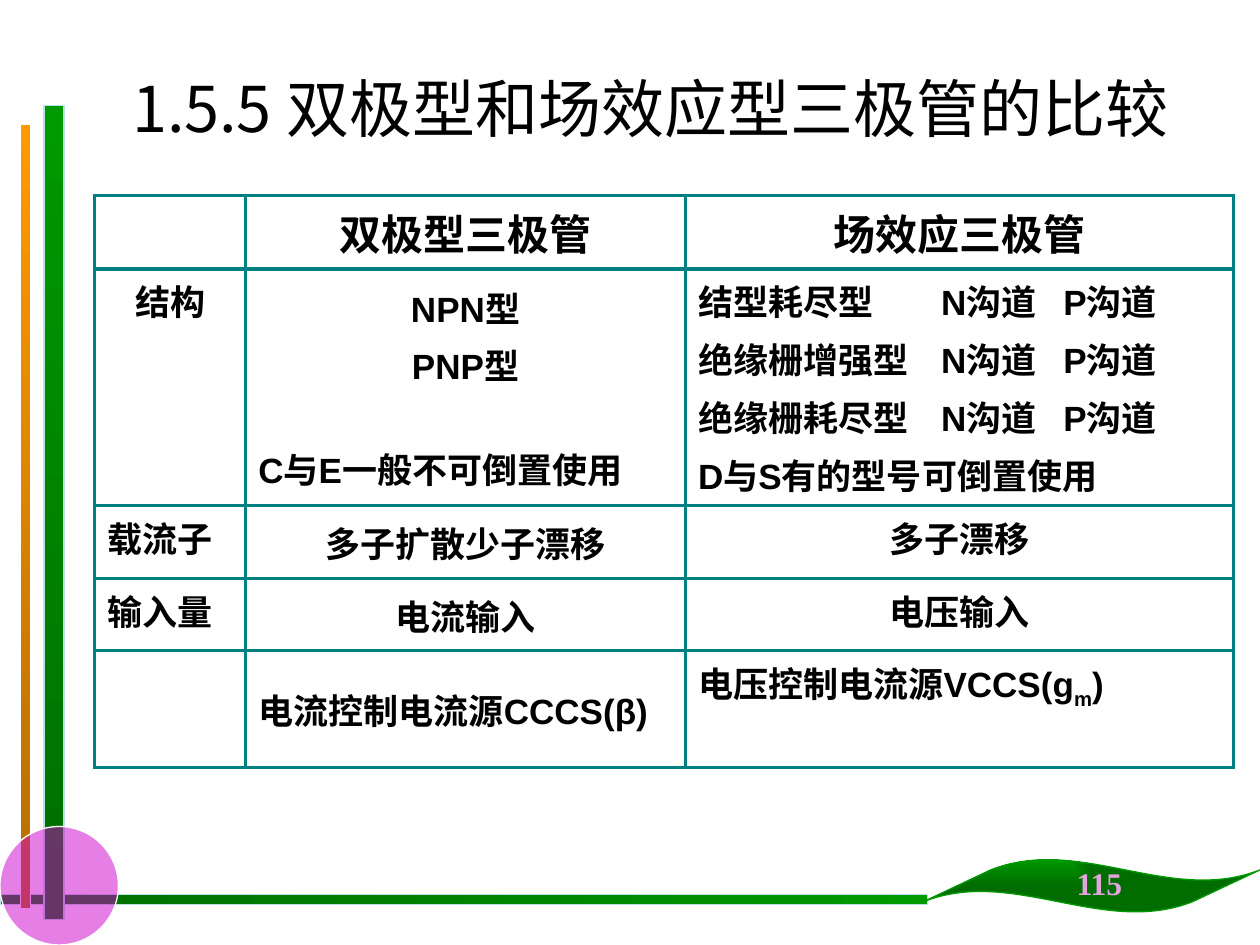
from lxml import etree
from pptx import Presentation, util as u
from pptx.dml.color import RGBColor
from pptx.enum import shapes as sh, text as tx
from pptx.oxml.ns import qn

W, H = 10, 7.5
MID, LEFT = tx.PP_ALIGN.CENTER, tx.PP_ALIGN.LEFT
CJK = "Noto Sans CJK SC"
BARS = [
    ((0, 7.1, 7.36, 0.08), ("006D00", "009900"), 0, "BBE0E3", 0.75),
    ((0.35, 0.84, 0.16, 6.46), ("009900", "006D00"), 270, "BBE0E3", 0.75),
    ((0.16, 0.99, 0.08, 6.22), ("FF9900", "B66D00"), 270, "FFFFFF", 0.5),
]
COLS = [1.2, 3.49, 4.35]
ROWS = [0.55, 1.87, 0.58, 0.57, 0.93]
CELLS = [
    [[], [("双极型三极管", MID)], [("场效应三极管", MID)]],
    [[("结构", MID)],
     [("NPN型", MID), ("PNP型", MID), ("C与E一般不可倒置使用", LEFT, 30)],
     [("结型耗尽型\tN沟道\tP沟道", LEFT), ("绝缘栅增强型\tN沟道\tP沟道", LEFT),
      ("绝缘栅耗尽型\tN沟道\tP沟道", LEFT), ("D与S有的型号可倒置使用", LEFT)]],
    [[("载流子", LEFT)], [("多子扩散少子漂移", MID)], [("多子漂移", MID)]],
    [[("输入量", LEFT)], [("电流输入", MID)], [("电压输入", MID)]],
    [[], [("电流控制电流源CCCS(β)", LEFT)], [("电压控制电流源VCCS(g|m|)", LEFT)]],
]
TABS = [1.93, 2.9]

prs = Presentation()
prs.slide_width, prs.slide_height = u.Inches(W), u.Inches(H)
slide = prs.slides.add_slide(prs.slide_layouts[6])


def inch(*vals):
    return [u.Inches(v) for v in vals]


def hue(code):
    return RGBColor.from_string(code)


def sub(node, tag, **attrs):
    return etree.SubElement(node, qn("a:" + tag), attrs)


def write(par, words, size, font, color="000000", bold=False):
    run = par.add_run()
    run.text = words
    look = {"size": u.Pt(size), "name": font, "bold": bold}
    for key, val in look.items():
        setattr(run.font, key, val)
    run.font.color.rgb = hue(color)
    sub(run.font._element, "ea", typeface=CJK)
    return run


def draw(kind, box, line, width):
    shape = slide.shapes.add_shape(kind, *inch(*box))
    shape.shadow.inherit = False
    shape.line.color.rgb = hue(line)
    shape.line.width = u.Pt(width)
    return shape


def blend(shape, pair, angle=0):
    shape.fill.gradient()
    shape.fill.gradient_angle = angle
    for stop, code, pos in zip(shape.fill.gradient_stops, pair, (0, 1)):
        stop.color.rgb = hue(code)
        stop.position = pos


def label(box, words, size, font, color, bold, align, wrap):
    frame = slide.shapes.add_textbox(*inch(*box)).text_frame
    look = {"word_wrap": wrap, "vertical_anchor": tx.MSO_ANCHOR.MIDDLE}
    for key, val in look.items():
        setattr(frame, key, val)
    par = frame.paragraphs[0]
    par.alignment = align
    write(par, words, size, font, color, bold)


def edge(cell):
    props = cell._tc.get_or_add_tcPr()
    for pos, side in enumerate("LRTB"):
        line = etree.Element(qn("a:ln" + side), w=str(u.Pt(2.25)))
        sub(sub(line, "solidFill"), "srgbClr", val="008080")
        props.insert(pos, line)


def fill(cell, lines, size):
    for num, (words, align, *gap) in enumerate(lines):
        frame = cell.text_frame
        par = frame.add_paragraph() if num else frame.paragraphs[0]
        par.alignment = align
        par.space_before = u.Pt(gap[0] if gap else size * 0.2)
        if "\t" in words:
            stops = sub(par._p.get_or_add_pPr(), "tabLst")
            for pos in TABS:
                sub(stops, "tab", pos=str(u.Inches(pos)), algn="l")
        for part, piece in enumerate(words.split("|")):
            run = write(par, piece, size, "Arial", bold=True)
            if part == 1:
                run.font._element.set("baseline", "-25000")


for box, pair, angle, line, width in BARS:
    blend(draw(sh.MSO_SHAPE.RECTANGLE, box, line, width), pair, angle)

disc = draw(sh.MSO_SHAPE.OVAL, (0, 6.56, 0.94, 0.94), "FFFFFF", 0.75)
disc.fill.solid()
disc.fill.fore_color.rgb = hue("CC00CC")
sub(disc._element.spPr.find(".//" + qn("a:srgbClr")), "alpha", val="50000")

leaf = draw(sh.MSO_SHAPE.WAVE, (7.33, 6.82, 2.67, 0.42), "009900", 0.75)
leaf.adjustments[0], leaf.adjustments[1] = 0.206, -0.1
blend(leaf, ("009900", "006D00"))
grad = leaf._element.spPr.find(qn("a:gradFill"))
grad.remove(grad.find(qn("a:lin")))
sub(sub(grad, "path", path="rect"), "fillToRect", r="100000", b="100000")

table = slide.shapes.add_table(len(ROWS), len(COLS), *inch(0.75, 1.55, sum(COLS), sum(ROWS))).table
table.first_row = table.horz_banding = False
for col, width in zip(table.columns, COLS):
    col.width = u.Inches(width)
for r, tall in enumerate(ROWS):
    table.rows[r].height = u.Inches(tall)
    for c, lines in enumerate(CELLS[r]):
        cell = table.cell(r, c)
        cell.fill.background()
        cell.vertical_anchor = tx.MSO_ANCHOR.MIDDLE if c == 1 else tx.MSO_ANCHOR.TOP
        edge(cell)
        fill(cell, lines, 20 if r else 24)

label((0.95, 0.51, 8.68, 0.68), "1.5.5 双极型和场效应型三极管的比较", 36, CJK, "000000", False, LEFT, True)
label((8.44, 6.81, 0.57, 0.4), "115", 18, "Times New Roman", "E4A4DC", True, MID, False)

prs.save("out.pptx")
